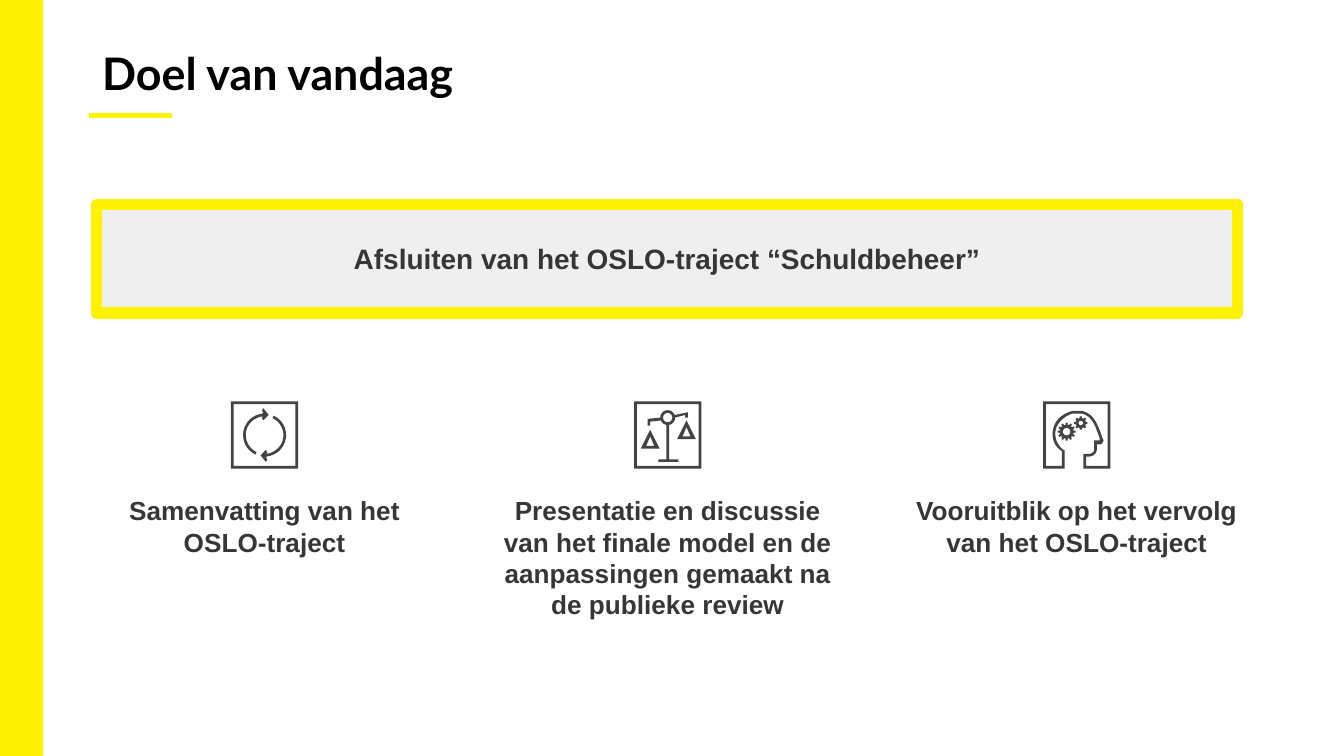
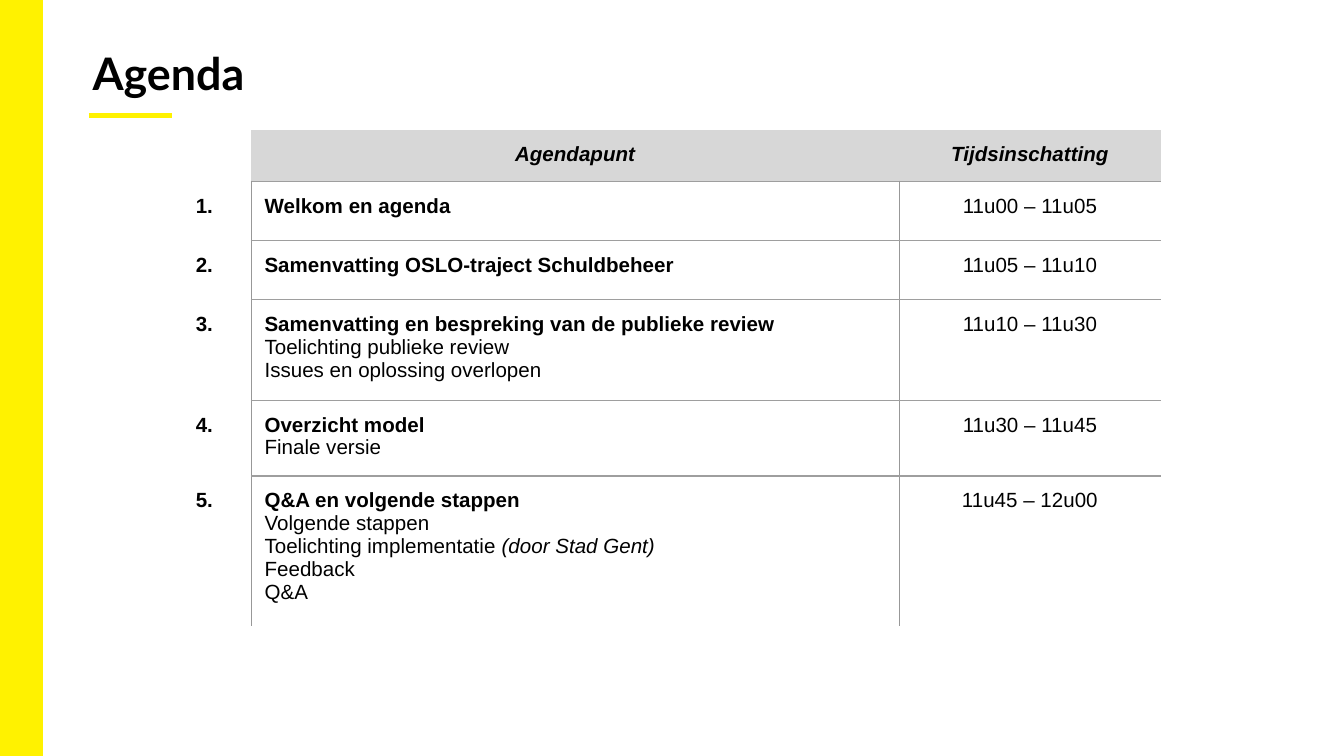
from math import cos, radians, sin, tau

from lxml import etree
from pptx import Presentation
from pptx import util as u
from pptx.dml.color import RGBColor
from pptx.enum import shapes, text
from pptx.oxml import ns

YELLOW, BLACK, INK, ICON = "FFF200", "000000", "373636", "434343"
PANEL, HEADER, GRID, RULE = "EFEFEF", "D7D7D7", "989898", "9E9E9E"
NO_STYLE = "{2D5ABB26-0587-4C30-8999-92F81FD0307C}"
CENTER, LEFT = text.PP_ALIGN.CENTER, text.PP_ALIGN.LEFT

GOAL = "Afsluiten van het OSLO-traject “Schuldbeheer”"
GOALS = [
    ("cycle", 5.0, 6.91, "Samenvatting van het OSLO-traject"),
    ("scales", 12.62, 7.11, "Presentatie en discussie van het finale model en de "
     "aanpassingen gemaakt na de publieke review"),
    ("head", 20.35, 7.11, "Vooruitblik op het vervolg van het OSLO-traject"),
]

AGENDA_HEAD = ["Agendapunt", "Tijdsinschatting"]
AGENDA = [
    ("Welkom en agenda", [], "11u00 – 11u05"),
    ("Samenvatting OSLO-traject Schuldbeheer", [], "11u05 – 11u10"),
    ("Samenvatting en bespreking van de publieke review",
     ["Toelichting publieke review", "Issues en oplossing overlopen"], "11u10 – 11u30"),
    ("Overzicht model", ["Finale versie"], "11u30 – 11u45"),
    ("Q&A en volgende stappen",
     ["Volgende stappen", ("Toelichting implementatie ", "(door Stad Gent)"),
      "Feedback", "Q&A"], "11u45 – 12u00"),
]
COLUMNS = [1.3, 12.24, 4.95]
ROWS = [0.58, 1.12, 1.12, 1.04, 1.12, 1.12]

ICON_SIZE, ICON_UNITS = 1.27, 500


def arc(cx, cy, radius, start, end, steps=16):
    angles = [radians(start + (end - start) * i / steps) for i in range(steps + 1)]
    return [(cx + radius * cos(a), cy + radius * sin(a)) for a in angles]


def gear(cx, cy, radius, root, hole, teeth):
    points = []
    for i in range(teeth):
        for offset, reach in ((-0.3, root), (-0.2, radius), (0.2, radius), (0.3, root)):
            a = tau * (i + offset) / teeth
            points.append((cx + reach * cos(a), cy + reach * sin(a)))
    return [points, arc(cx, cy, hole, 0, 360)]


def square(inset):
    far = ICON_UNITS - inset
    return [(inset, inset), (inset, far), (far, far), (far, inset)]


def shifted(points, dx, dy):
    return [(x + dx, y + dy) for x, y in points]


FRAME = [square(0), square(20)]
ARROW = (arc(250, 250, 140, 115, 266)
         + [(230, 120), (240, 140), (280, 100), (240, 50), (230, 70), (240, 80)]
         + arc(250, 250, 160, 264, 115))
ARROW_BACK = [(ICON_UNITS - x, ICON_UNITS - y) for x, y in ARROW]
PAN = [[(120, 210), (50, 350), (190, 350)], [(120, 260), (150, 330), (90, 330)]]
BALANCE = ([(120, 150)] + arc(250, 120, 55, 158, 100)
           + [(240, 430), (180, 430), (180, 450), (330, 450), (330, 430), (260, 430)]
           + arc(250, 120, 55, 80, 0)
           + [(380, 100), (380, 120), (400, 120), (400, 80)]
           + arc(250, 120, 55, -20, -180)
           + [(100, 130), (100, 180), (120, 180)])
HEAD_INSIDE = [
    (0, 0), (0, 500), (160, 500), (160, 360), (150, 360), (110, 330, 90, 280, 90, 240),
    (90, 170, 150, 110, 220, 90), (290, 90), (370, 110, 390, 190, 420, 270),
    (420, 290), (380, 290), (380, 350), (380, 380, 360, 390, 340, 390),
    (300, 390), (300, 500), (500, 500), (500, 0)]
HEAD_OUTSIDE = [
    (480, 480), (320, 480), (320, 410), (340, 410), (370, 410, 400, 390, 400, 350),
    (400, 320), (430, 320), (440, 310), (450, 290), (440, 270),
    (410, 180, 380, 90, 290, 70), (220, 70), (130, 90, 70, 160, 70, 240),
    (70, 290, 90, 340, 140, 370), (140, 480), (20, 480), (20, 20), (480, 20)]
ICONS = {
    "cycle": [FRAME, [ARROW], [ARROW_BACK]],
    "scales": [FRAME + PAN + [shifted(t, 270, -70) for t in PAN]
               + [BALANCE, arc(250, 120, 35, 0, 360)]],
    "head": [[HEAD_INSIDE, HEAD_OUTSIDE], gear(175, 225, 67, 52, 28, 12),
             gear(280, 160, 50, 38, 17, 8)],
}


def rgb(value):
    return RGBColor.from_string(value)


def flatten(path_points):
    points = []
    for node in path_points:
        if len(node) == 2:
            points.append(node)
            continue
        (x0, y0), (x1, y1, x2, y2, x3, y3) = points[-1], node
        for i in range(1, 9):
            t = i / 8
            a, b, c, d = (1 - t) ** 3, 3 * t * (1 - t) ** 2, 3 * t * t * (1 - t), t ** 3
            points.append((a * x0 + b * x1 + c * x2 + d * x3,
                           a * y0 + b * y1 + c * y2 + d * y3))
    return points


def style(p, size, color, bold=True, italic=False, font="Arial", align=LEFT):
    p.alignment = align
    for r in p.runs:
        r.font.name, r.font.size = font, u.Pt(size)
        r.font.bold, r.font.italic = bold, italic
        r.font.color.rgb = rgb(color)


def add_text(s, box, words, inset, size, color, **look):
    tf = s.shapes.add_textbox(*map(u.Cm, box)).text_frame
    tf.word_wrap = True
    tf.margin_left = tf.margin_right = u.Cm(inset[0])
    tf.margin_top = tf.margin_bottom = u.Cm(inset[1])
    tf.text = words
    style(tf.paragraphs[0], size, color, **look)


def add_rect(s, box, fill, line, width):
    sp = s.shapes.add_shape(shapes.MSO_SHAPE.RECTANGLE, *map(u.Cm, box))
    sp.shadow.inherit = False
    sp.fill.solid()
    sp.fill.fore_color.rgb = rgb(fill)
    sp.line.color.rgb = rgb(line)
    sp.line.width = u.Pt(width)
    return sp


def add_icon(s, name, left, top):
    parts = []
    for contours in ICONS[name]:
        outlines = [flatten(c) for c in contours]
        builder = s.shapes.build_freeform(*outlines[0][0], scale=u.Cm(ICON_SIZE) / ICON_UNITS)
        builder.add_line_segments(outlines[0][1:], close=True)
        for outline in outlines[1:]:
            builder.move_to(*outline[0])
            builder.add_line_segments(outline[1:], close=True)
        sp = builder.convert_to_shape(u.Cm(left), u.Cm(top))
        sp.shadow.inherit = False
        sp.fill.solid()
        sp.fill.fore_color.rgb = rgb(ICON)
        sp.line.fill.background()
        parts.append(sp)
    if len(parts) > 1:
        s.shapes.add_group_shape(parts)


def new_slide(prs, title, title_left):
    s = prs.slides.add_slide(prs.slide_layouts[6])
    add_rect(s, (0, 0, 0.79, 14.29), YELLOW, YELLOW, 1)
    add_text(s, (title_left, 0.76, 21.89, 2.06), title, (0.18, 0.1), 24, BLACK, font="Lato")
    return s


def add_underline(s):
    line = s.shapes.add_connector(shapes.MSO_CONNECTOR.STRAIGHT,
                                  *map(u.Cm, (1.68, 2.18, 3.25, 2.18)))
    line.line.color.rgb = rgb(YELLOW)
    line.line.width = u.Pt(3)
    etree.SubElement(line._element.spPr, ns.qn("a:effectLst"))


def add_borders(cell, sides):
    tc_pr = cell._tc.get_or_add_tcPr()
    for side in "LRTB":
        if side in sides:
            color, width = (GRID, 0.5) if side in "LR" else (RULE, 0.75)
            ln = etree.SubElement(tc_pr, ns.qn("a:ln" + side), w=str(u.Pt(width)))
            fill = etree.SubElement(ln, ns.qn("a:solidFill"))
            etree.SubElement(fill, ns.qn("a:srgbClr"), val=color)


def fill_cell(cell, paragraphs, sides, fill=None, bold=True, italic=False, align=LEFT):
    margin = u.Cm(0.25 if paragraphs else 0)
    cell.margin_left = cell.margin_right = cell.margin_top = cell.margin_bottom = margin
    add_borders(cell, sides)
    if fill:
        cell.fill.solid()
        cell.fill.fore_color.rgb = rgb(fill)
    else:
        cell.fill.background()
    tf = cell.text_frame
    for i, words in enumerate(paragraphs):
        p = tf.add_paragraph() if i else tf.paragraphs[0]
        plain, slanted = words if isinstance(words, tuple) else (words, "")
        p.text = plain
        if slanted:
            p.add_run().text = slanted
        style(p, 11, BLACK, bold and i == 0, italic, align=align)
        if slanted:
            p.runs[-1].font.italic = True


def add_agenda(s):
    frame = s.shapes.add_table(len(ROWS), len(COLUMNS), u.Cm(3.45), u.Cm(2.46),
                               u.Cm(sum(COLUMNS)), u.Cm(sum(ROWS)))
    table = frame.table
    table.first_row = table.horz_banding = False
    table._tbl.tblPr[0].text = NO_STYLE
    for column, width in zip(table.columns, COLUMNS):
        column.width = u.Cm(width)
    for row, height in zip(table.rows, ROWS):
        row.height = u.Cm(height)
    fill_cell(table.cell(0, 0), [], "")
    for c, words in enumerate(AGENDA_HEAD, 1):
        fill_cell(table.cell(0, c), [words], "B", HEADER, italic=True, align=CENTER)
    for n, (topic, details, time) in enumerate(AGENDA, 1):
        rules = "TB" if n < len(AGENDA) else "T"
        fill_cell(table.cell(n, 0), [f"{n}."], "R")
        fill_cell(table.cell(n, 1), [topic, *details], "LR" + rules)
        fill_cell(table.cell(n, 2), [time], "L" + rules, bold=False, align=CENTER)


def main():
    prs = Presentation()
    prs.slide_width, prs.slide_height = u.Cm(25.4), u.Cm(14.29)

    s = new_slide(prs, "Doel van vandaag", 1.75)
    panel = add_rect(s, (1.83, 3.86, 21.56, 2.06), PANEL, YELLOW, 6)
    tf = panel.text_frame
    tf.word_wrap = True
    tf.vertical_anchor = text.MSO_ANCHOR.MIDDLE
    tf.text = GOAL
    style(tf.paragraphs[0], 15, INK, align=CENTER)
    for icon, middle, width, caption in GOALS:
        add_icon(s, icon, middle - ICON_SIZE / 2, 7.59)
        add_text(s, (middle - width / 2, 9.22, width, 3.25), caption,
                 (0.25, 0.13), 14, INK, align=CENTER)
    add_underline(s)

    s = new_slide(prs, "Agenda", 1.57)
    add_agenda(s)
    add_underline(s)
    prs.save("out.pptx")


if __name__ == "__main__":
    main()
